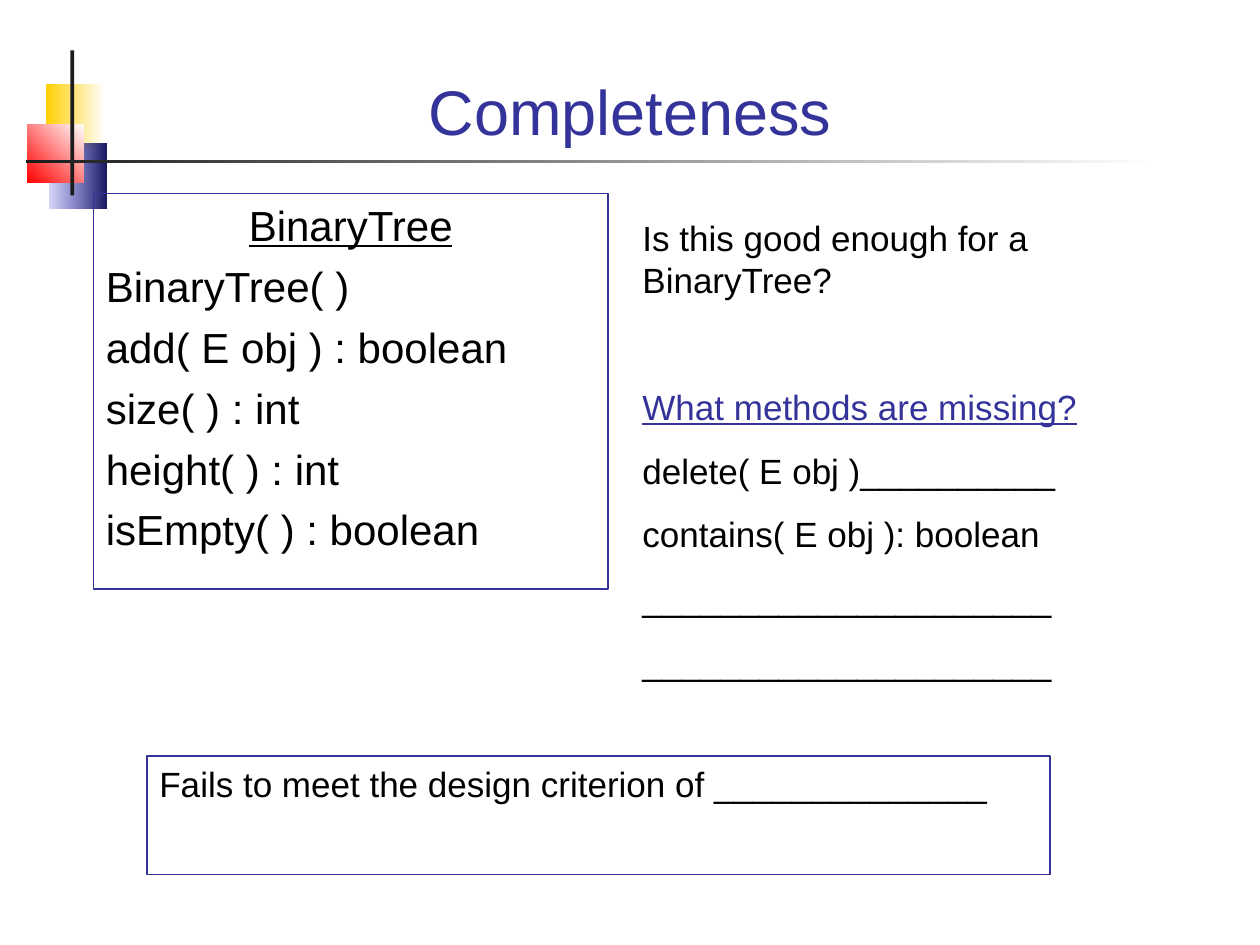
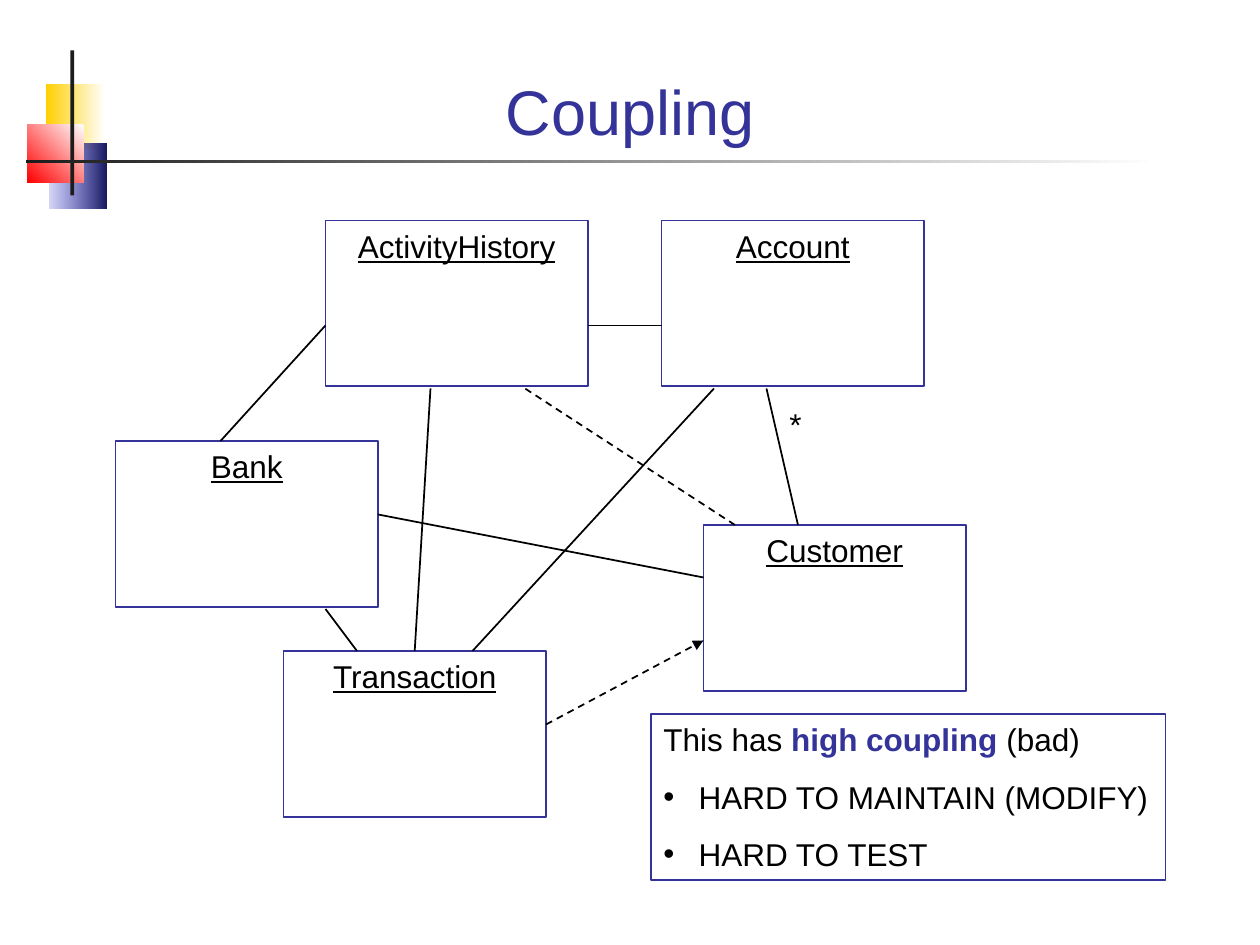
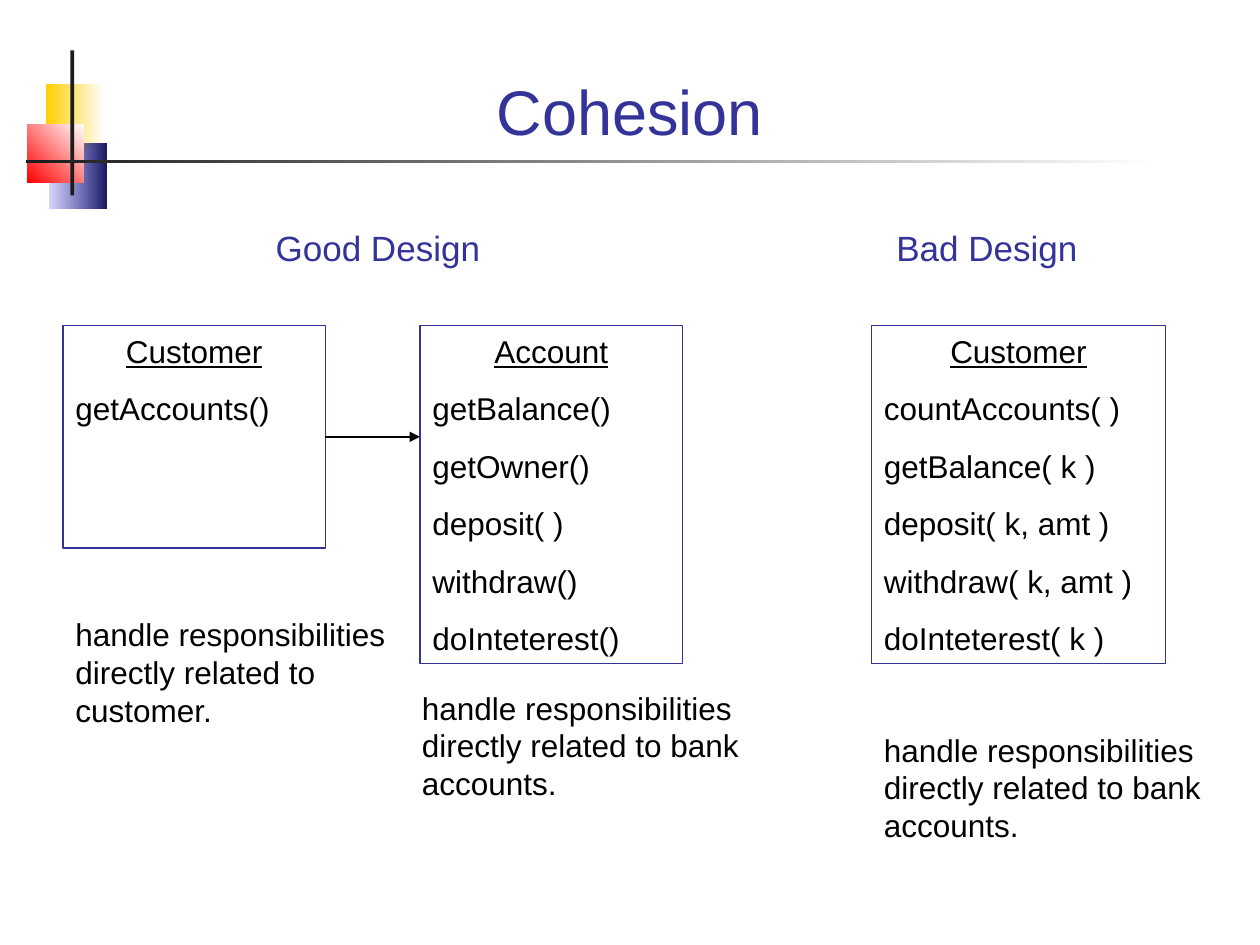
import lxml.etree
import pptx
import pptx.dml.color
import pptx.enum.dml
import pptx.enum.shapes
import pptx.enum.text
import pptx.oxml.ns
import pptx.util

COLORS = {
    "accent": "333399", "text": "000000", "ink": "1C1C1C", "white": "FFFFFF",
    "yellow": "FFCF01", "red": "FF0000", "navy": "17175E", "blue": "3333CC",
}
COLUMNS, ROWS = 120, 90
WIDTH, HEIGHT = pptx.util.Inches(10), pptx.util.Inches(7.5)
ALIGN = pptx.enum.text.PP_ALIGN
qn = pptx.oxml.ns.qn


def color(name):
    return pptx.dml.color.RGBColor.from_string(COLORS[name])


def across(columns):
    return round(WIDTH * columns / COLUMNS)


def down(rows):
    return round(HEIGHT * rows / ROWS)


def place(left, top, width, height):
    return across(left), down(top), across(width), down(height)


def write(frame, text, *, size=18, ink="text", bold=False, underline=False,
          align=ALIGN.LEFT, before=None, bullet=False, inline=False):
    paragraph = frame.paragraphs[-1]
    if not inline:
        first = not paragraph.runs
        if not first:
            paragraph = frame.add_paragraph()
        if bullet:
            properties = paragraph._p.get_or_add_pPr()
            hang = pptx.util.Inches(0.28)
            properties.set("marL", str(hang))
            properties.set("indent", str(-hang))
            lxml.etree.SubElement(properties, qn("a:buFont"), typeface="Arial")
            lxml.etree.SubElement(properties, qn("a:buChar"), char="•")
        gap = size * 0.625 if before is None else before
        paragraph.space_before = pptx.util.Pt(0 if first else gap)
        paragraph.alignment = align
    run = paragraph.add_run()
    run.text = text
    run.font.name = "Arial"
    run.font.size = pptx.util.Pt(size)
    run.font.color.rgb = color(ink)
    run.font.bold = bold
    run.font.underline = underline


class Deck:
    def __init__(self):
        self.presentation = pptx.Presentation()
        self.presentation.slide_width = WIDTH
        self.presentation.slide_height = HEIGHT
        self.slide = None

    def start(self, heading):
        layout = self.presentation.slide_layouts[5]
        self.slide = self.presentation.slides.add_slide(layout)
        self.ornament()
        title = self.slide.shapes.title
        title.left, title.top, title.width, title.height = place(8, 3.3, 104, 11.4)
        frame = title.text_frame
        frame.auto_size = pptx.enum.text.MSO_AUTO_SIZE.NONE
        frame.vertical_anchor = pptx.enum.text.MSO_ANCHOR.BOTTOM
        write(frame, heading, size=36, ink="accent", align=ALIGN.CENTER)

    def rectangle(self, *area):
        kind = pptx.enum.shapes.MSO_SHAPE.RECTANGLE
        shape = self.slide.shapes.add_shape(kind, *place(*area))
        shape.shadow.inherit = False
        return shape

    def block(self, *area, colors, angle=180, end_alpha=None):
        block = self.rectangle(*area)
        block.line.fill.background()
        if len(colors) == 1:
            block.fill.solid()
            block.fill.fore_color.rgb = color(colors[0])
            return
        block.fill.gradient()
        block.fill.gradient_angle = angle
        for stop, name in zip(block.fill.gradient_stops, colors):
            stop.color.rgb = color(name)
        if end_alpha:
            end = list(block._element.spPr.iter(qn("a:srgbClr")))[-1]
            lxml.etree.SubElement(end, qn("a:alpha"), val=str(end_alpha * 1000))

    def ornament(self):
        self.block(4.4, 8, 5.6, 6.2, colors=("white", "yellow"))
        self.block(4.7, 13.7, 5.4, 6.2, colors=("navy", "blue"), end_alpha=20)
        self.block(2.6, 11.9, 5.4, 5.5, colors=("white", "red"), angle=225)
        self.block(6.7, 4.8, 0.36, 13.8, colors=("ink",))
        self.block(2.5, 15.2, 107.9, 0.36, colors=("white", "ink"))

    def box(self, *area, weight=1):
        box = self.rectangle(*area)
        box.fill.background()
        box.line.color.rgb = color("accent")
        box.line.width = pptx.util.Pt(weight)
        box.text_frame.word_wrap = True
        box.text_frame.vertical_anchor = pptx.enum.text.MSO_ANCHOR.TOP
        return box

    def class_box(self, *area, name, methods=(), size=18, before=None, weight=1):
        box = self.box(*area, weight=weight)
        write(box.text_frame, name, size=size, underline=True, align=ALIGN.CENTER)
        for method in methods:
            write(box.text_frame, method, size=size, before=before)
        return box

    def label(self, *area, text, **style):
        frame = self.slide.shapes.add_textbox(*place(*area)).text_frame
        frame.word_wrap = True
        write(frame, text, **style)
        return frame

    def link(self, start, end, dashed=False, arrow=False):
        kind = pptx.enum.shapes.MSO_CONNECTOR.STRAIGHT
        link = self.slide.shapes.add_connector(
            kind, across(start[0]), down(start[1]), across(end[0]), down(end[1]))
        link.line.color.rgb = color("text")
        link.line.width = pptx.util.Pt(1)
        if dashed:
            link.line.dash_style = pptx.enum.dml.MSO_LINE.DASH
        properties = link._element.spPr
        if arrow:
            outline = properties.find(qn("a:ln"))
            lxml.etree.SubElement(outline, qn("a:tailEnd"), type="triangle")
        lxml.etree.SubElement(properties, qn("a:effectLst"))
        return link


def completeness(deck):
    deck.start("Completeness")
    deck.class_box(
        8.9, 18.4, 49, 37.7, name="BinaryTree", size=24, before=6, weight=0.75,
        methods=("BinaryTree( )", "add( E obj ) : boolean", "size( ) : int",
                 "height( ) : int", "isEmpty( ) : boolean"))
    questions = deck.label(60, 20, 50, 45.7, size=20,
                           text="Is this good enough for a BinaryTree?")
    write(questions, "What methods are missing?", size=20, ink="accent",
          underline=True, before=48.5)
    blank = "_" * 21
    for answer in ("delete( E obj )" + "_" * 10, "contains( E obj ): boolean", blank, blank):
        write(questions, answer, size=20)
    verdict = deck.box(14, 72, 86, 11.3)
    write(verdict.text_frame,
          "Fails to meet the design criterion of " + "_" * 14, size=20)


def coupling(deck):
    deck.start("Coupling")
    corners = {"Bank": (11, 42), "Account": (63, 21), "Customer": (67, 50),
               "Transaction": (27, 62), "ActivityHistory": (31, 21)}
    classes = {name: deck.class_box(*corner, 25, 15.8, name=name)
               for name, corner in corners.items()}
    for start, end in (((67, 55), (36, 49)), ((76, 50), (73, 37)),
                       ((68, 37), (45, 62)), ((34, 62), (31, 58)),
                       ((21, 42), (31, 31)), ((56, 31), (63, 31))):
        deck.link(start, end)
    history = deck.link((39.5, 62), (41, 37))
    history.begin_connect(classes["Transaction"], 0)
    deck.link((70, 50), (50, 37), dashed=True)
    deck.link((52, 69), (67, 61), dashed=True, arrow=True)
    deck.label(74, 38, 5, 4.8, text="*")
    verdict = deck.box(62, 68, 49, 15.8).text_frame
    write(verdict, "This has ")
    write(verdict, "high coupling", ink="accent", bold=True, inline=True)
    write(verdict, " (bad)", inline=True)
    for drawback in ("HARD TO MAINTAIN (MODIFY)", "HARD TO TEST"):
        write(verdict, drawback, bullet=True)


def cohesion(deck):
    deck.start("Cohesion")
    for left, verdict in ((17, "Good Design"), (75, "Bad Design")):
        deck.label(left, 21, 38, 5.3, text=verdict, size=20, ink="accent",
                   align=ALIGN.CENTER)
    customer = deck.class_box(6, 31, 25, 21.2, name="Customer",
                              methods=("getAccounts()",))
    deck.class_box(40, 31, 25, 32.2, name="Account",
                   methods=("getBalance()", "getOwner()", "deposit( )",
                            "withdraw()", "doInteterest()"))
    deck.class_box(83, 31, 28, 32.2, name="Customer",
                   methods=("countAccounts( )", "getBalance( k )", "deposit( k, amt )",
                            "withdraw( k, amt )", "doInteterest( k )"))
    for left, top, subject in ((6, 58, "customer"), (39, 65, "bank accounts"),
                               (83, 69, "bank accounts")):
        deck.label(left, top, 33, 12,
                   text=f"handle responsibilities directly related to {subject}.")
    ownership = deck.link((31, 41.6), (40, 41.6), arrow=True)
    ownership.begin_connect(customer, 3)


def main():
    deck = Deck()
    for build in (completeness, coupling, cohesion):
        build(deck)
    deck.presentation.save("out.pptx")


if __name__ == "__main__":
    main()
